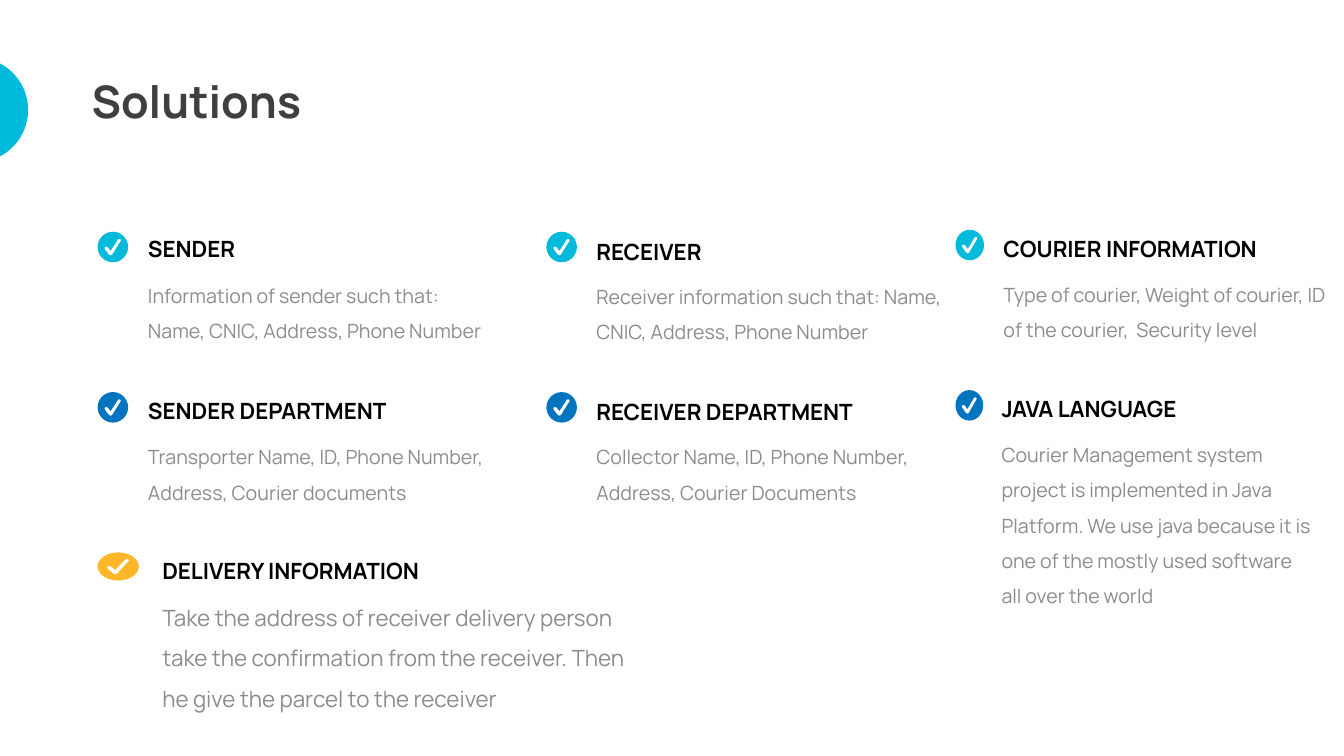
from dataclasses import dataclass
from math import asin, cos, sin

from pptx import Presentation
from pptx.dml.color import RGBColor
from pptx.enum.shapes import MSO_SHAPE as Preset
from pptx.enum.text import MSO_AUTO_SIZE as AutoSize
from pptx.util import Cm, Pt

FONT = "Manrope"
CYAN = RGBColor(0x00, 0xBA, 0xDB)
BLUE = RGBColor(0x00, 0x74, 0xBF)
AMBER = RGBColor(0xFE, 0xB7, 0x29)
WHITE = RGBColor(0xFF, 0xFF, 0xFF)
BLACK = RGBColor(0x00, 0x00, 0x00)
DARK = RGBColor(0x3F, 0x3F, 0x3F)
GREY = RGBColor(0x8C, 0x8C, 0x8C)

# Check mark outline, in percent of the badge's width and height
CHECK_MARK = [
    (43, 77), (40, 76), (37, 74), (24, 57), (23, 53), (25, 50), (29, 49),
    (33, 51), (43, 63), (66, 27), (69, 24), (73, 24), (76, 27), (75, 31),
    (48, 74), (46, 76),
]


@dataclass
class Card:
    """One solution; all lengths in centimetres."""
    heading: str
    body: str
    color: RGBColor
    badge_left: float
    badge_top: float
    text_left: float
    heading_top: float
    body_top: float
    width: float = 9.34
    body_height: float = 1.96
    badge_width: float = 0.77
    badge_height: float = 0.77
    body_size: int = 14


CARDS = [
    Card("SENDER",
         "Information of sender such that: Name, CNIC, Address, Phone Number",
         CYAN, 2.46, 5.84, 3.48, 5.79, 6.73),
    Card("RECEIVER",
         "Receiver information such that: Name, CNIC, Address, Phone Number",
         CYAN, 13.77, 5.84, 14.78, 5.87, 6.76),
    Card("COURIER INFORMATION",
         "Type of courier, Weight of courier, ID of the courier,  Security level",
         CYAN, 24.08, 5.79, 25.04, 5.79, 6.71, width=8.81, badge_width=0.72),
    Card("SENDER DEPARTMENT",
         "Transporter Name, ID, Phone Number, Address, Courier documents",
         BLUE, 2.46, 9.88, 3.48, 9.88, 10.8),
    Card("RECEIVER DEPARTMENT",
         "Collector Name, ID, Phone Number, Address, Courier Documents",
         BLUE, 13.77, 9.88, 14.78, 9.91, 10.8),
    Card("JAVA LANGUAGE",
         "Courier Management system project is implemented in Java Platform. "
         "We use java because it is one of the mostly used software all over the world",
         BLUE, 24.08, 9.83, 24.99, 9.83, 10.74,
         width=8.4, body_height=3.76, badge_width=0.7),
    Card("DELIVERY INFORMATION",
         "Take the address of receiver delivery person take the confirmation "
         "from the receiver. Then he give the parcel to the receiver",
         AMBER, 2.46, 13.92, 3.84, 13.92, 14.76, width=12.65,
         body_height=3.89, badge_width=1.04, badge_height=0.71, body_size=16),
]


def paint(shape, color):
    shape.shadow.inherit = False
    shape.fill.solid()
    shape.fill.fore_color.rgb = color
    shape.line.fill.background()


def add_text(shapes, text, left, top, width, height, size, color,
             bold=False, spacing=None):
    box = shapes.add_textbox(Cm(left), Cm(top), Cm(width), Cm(height))
    frame = box.text_frame
    frame.word_wrap = True
    frame.auto_size = AutoSize.SHAPE_TO_FIT_TEXT
    paragraph = frame.paragraphs[0]
    if spacing:
        paragraph.line_spacing = spacing
    run = paragraph.add_run()
    run.text = text
    run.font.name = FONT
    run.font.size = Pt(size)
    run.font.bold = bold
    run.font.color.rgb = color


def add_outline(shapes, points, color):
    """Closed outline through points given in centimetres."""
    start, *others = [(Cm(x), Cm(y)) for x, y in points]
    builder = shapes.build_freeform(*start)
    builder.add_line_segments(others, close=True)
    paint(builder.convert_to_shape(), color)


def add_badge(shapes, left, top, width, height, color):
    badge = shapes.add_shape(Preset.OVAL, Cm(left), Cm(top), Cm(width), Cm(height))
    paint(badge, color)
    add_outline(shapes, [(left + width * x / 100, top + height * y / 100)
                         for x, y in CHECK_MARK], WHITE)


def add_card(slide, card):
    shapes = slide.shapes.add_group_shape().shapes
    add_text(shapes, card.body, card.text_left, card.body_top, card.width,
             card.body_height, card.body_size, GREY, spacing=1.5)
    add_badge(shapes, card.badge_left, card.badge_top, card.badge_width,
              card.badge_height, card.color)
    add_text(shapes, card.heading, card.text_left, card.heading_top, card.width,
             0.94, 16, BLACK, bold=True)


def add_edge_disc(slide, middle=2.77, radius=1.32, reach=0.71, steps=40):
    """The part of a disc that reaches in from the slide's left edge."""
    center = reach - radius
    half_angle = asin((radius ** 2 - center ** 2) ** 0.5 / radius)
    angles = [half_angle * (2 * step / steps - 1) for step in range(steps + 1)]
    add_outline(slide.shapes, [(max(0, center + radius * cos(angle)),
                                middle + radius * sin(angle))
                               for angle in angles], CYAN)


def main():
    presentation = Presentation()
    presentation.slide_width = Cm(33.87)
    presentation.slide_height = Cm(19.05)
    slide = presentation.slides.add_slide(presentation.slide_layouts[6])

    # Title and accent at the edge
    add_text(slide.shapes, "Solutions", 2.06, 1.73, 14.88, 1.63, 32, DARK, bold=True)
    add_edge_disc(slide)

    # Solutions
    for card in CARDS:
        add_card(slide, card)

    presentation.save("out.pptx")


if __name__ == "__main__":
    main()
